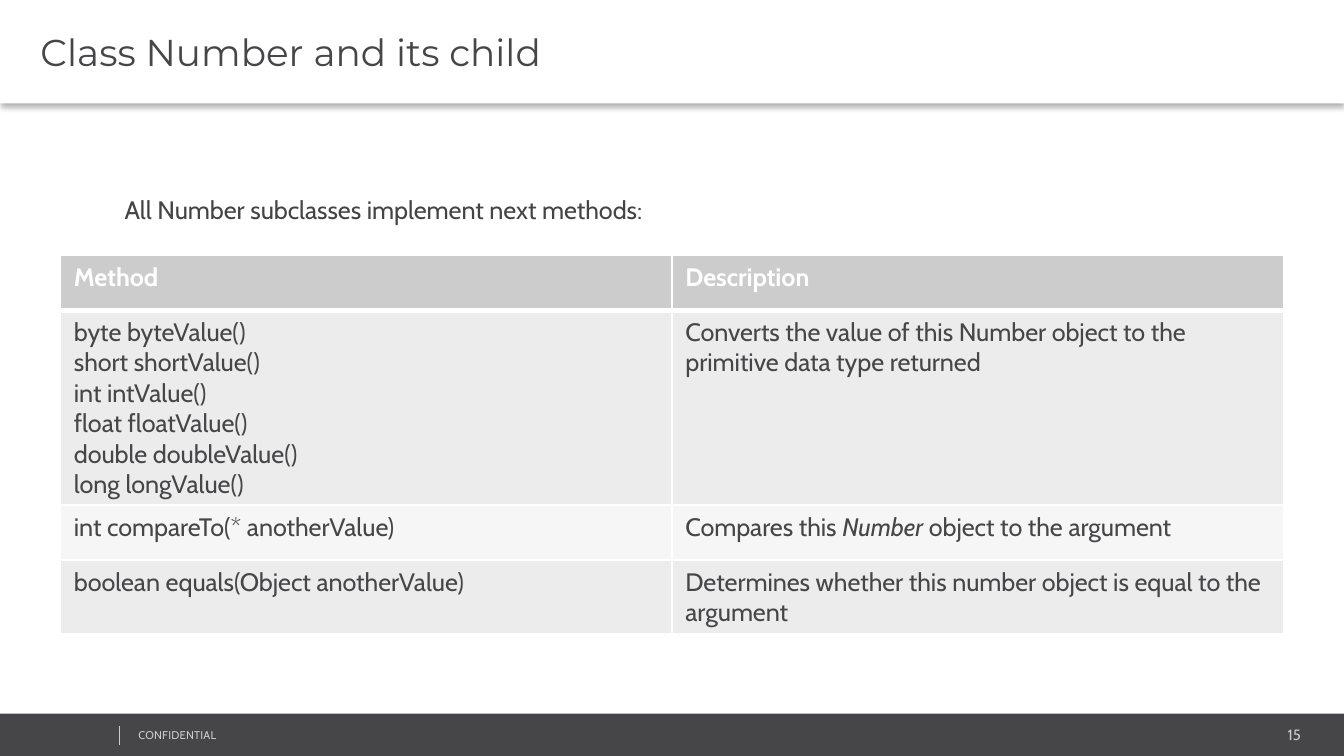
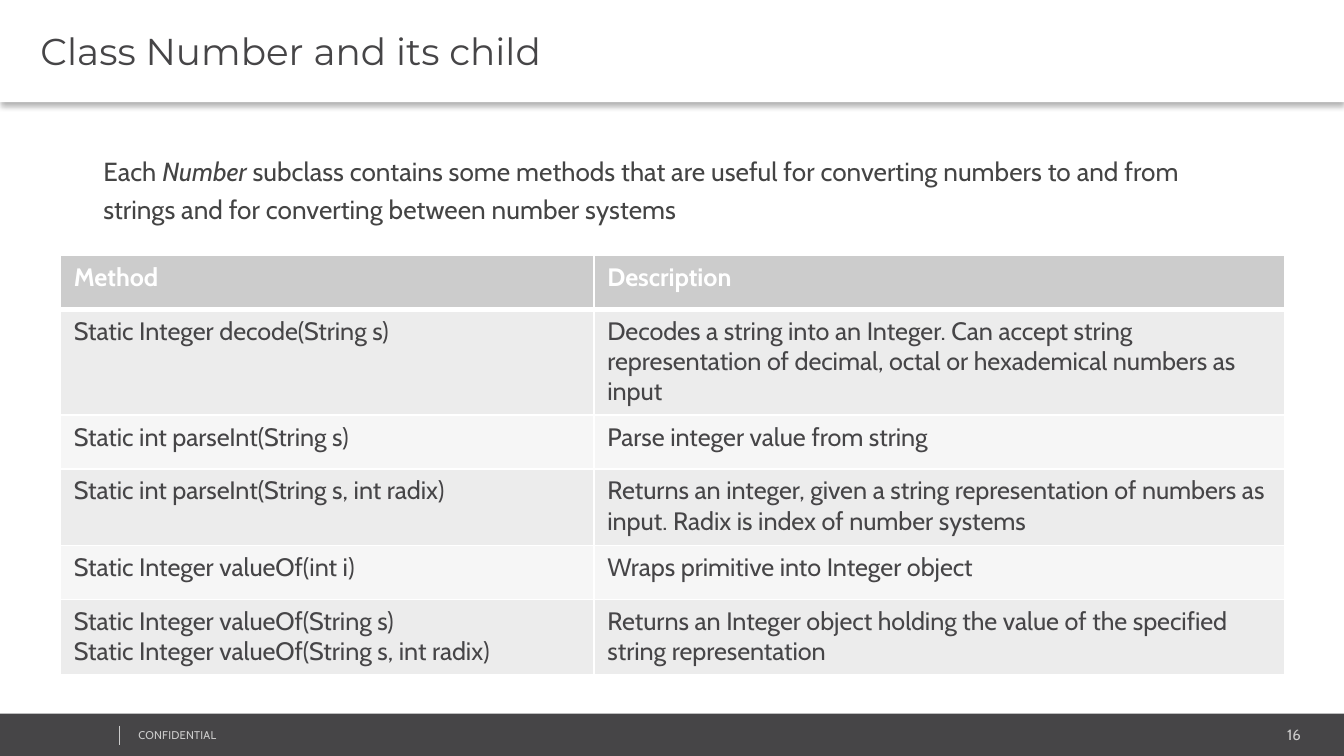
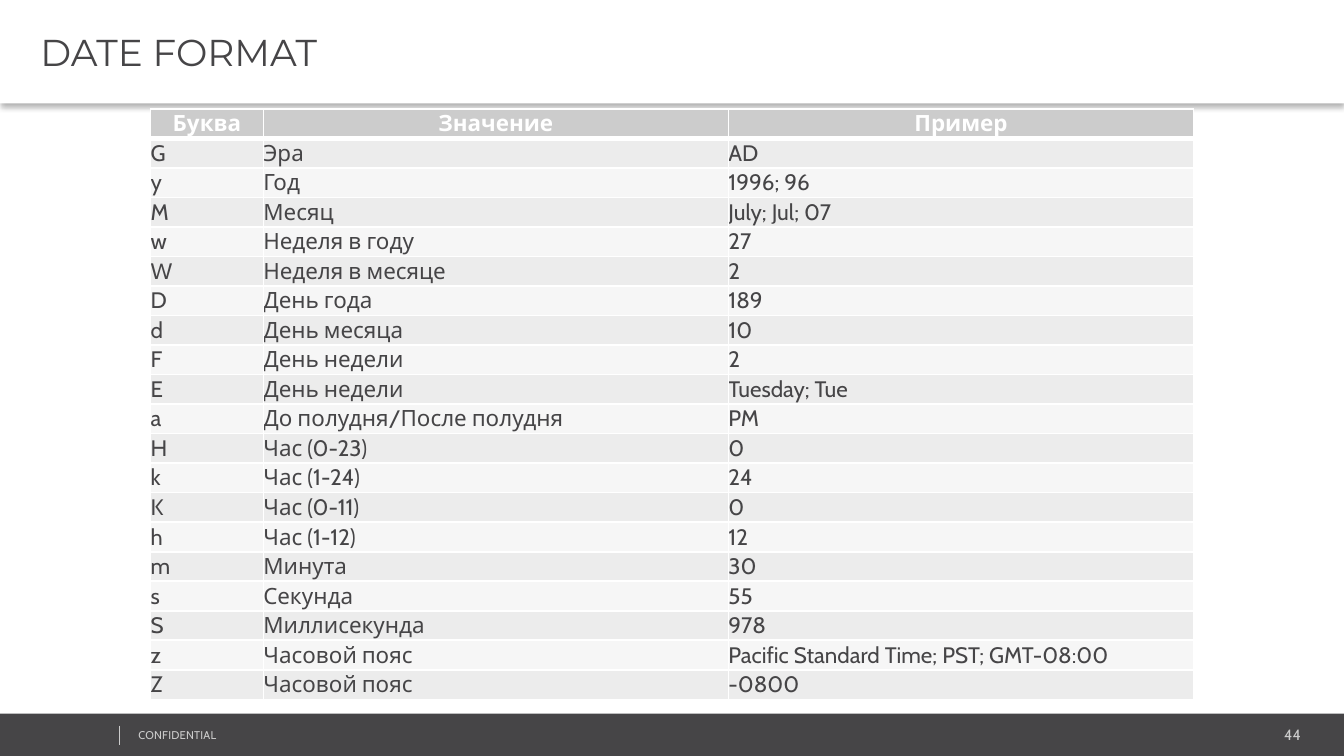
"""Build three slides on Java number methods and date format letters."""
import dataclasses
import typing

import lxml.etree
import pptx
import pptx.dml.color
import pptx.enum.shapes
import pptx.enum.text
import pptx.oxml.ns
import pptx.util

Inches = pptx.util.Inches
Pt = pptx.util.Pt
Align = pptx.enum.text.PP_ALIGN
Anchor = pptx.enum.text.MSO_ANCHOR
AutoSize = pptx.enum.text.MSO_AUTO_SIZE
qn = pptx.oxml.ns.qn

WHITE = "FFFFFF"
DARK = "464547"
INTRO_GRAY = "444444"
LIGHT = "CCCCCC"
BANDS = ("ECECEC", "F6F6F6")
BODY_FONT = "Cabin"
TITLE_FONT = "Montserrat"
TIGHT = (0.07, 0.04, 0.07, 0.04)
DEFAULT_INSETS = (0.1, 0.05, 0.1, 0.05)


@dataclasses.dataclass(frozen=True)
class Box:
    """Place of an element in inches."""
    left: float
    top: float
    width: float
    height: float

    def lengths(self) -> list[int]:
        return [Inches(value) for value in dataclasses.astuple(self)]


@dataclasses.dataclass(frozen=True)
class Intro:
    """Sentence above a table, with italics between underscores."""
    text: str
    box: Box
    size: float


@dataclasses.dataclass(frozen=True)
class Grid:
    """Table with a header row and banded body rows."""
    left: float
    top: float
    columns: list[float]
    heights: list[float]
    rows: list[tuple[str, ...]]
    size: float = 13.5
    insets: tuple[float, ...] = DEFAULT_INSETS
    anchor: typing.Any = Anchor.TOP
    header_align: typing.Any = Align.LEFT


@dataclasses.dataclass(frozen=True)
class Page:
    """Content of one slide."""
    title: str
    number: int
    grid: Grid
    intro: Intro | None = None
    title_top: float = 0


METHOD_HEADER = ("Method", "Description")

PAGES = [
    Page(
        "Class Number and its child", 15,
        Grid(0.45, 1.9, [4.55, 4.55], [0.41, 1.43, 0.41, 0.55], [
            METHOD_HEADER,
            ("byte byteValue()\nshort shortValue()\nint intValue()\n"
             "float floatValue()\ndouble doubleValue()\nlong longValue()",
             "Converts the value of this Number object to the primitive data type returned"),
            ("int compareTo(* anotherValue)",
             "Compares this _Number_ object to the argument"),
            ("boolean equals(Object anotherValue)",
             "Determines whether this number object is equal to the argument"),
        ]),
        Intro("All Number subclasses implement next methods:",
              Box(0.83, 1.35, 4.83, 0.35), 13.5),
    ),
    Page(
        "Class Number and its child", 16,
        Grid(0.45, 1.9, [3.97, 5.14], [0.4, 0.79, 0.4, 0.57, 0.4, 0.56], [
            METHOD_HEADER,
            ("Static Integer decode(String s)",
             "Decodes a string into an Integer. Can accept string representation "
             "of decimal, octal or hexademical numbers as input"),
            ("Static int parseInt(String s)", "Parse integer value from string"),
            ("Static int parseInt(String s, int radix)",
             "Returns an integer, given a string representation of numbers as input. "
             "Radix is index of number systems"),
            ("Static Integer valueOf(int i)", "Wraps primitive into Integer object"),
            ("Static Integer valueOf(String s)\nStatic Integer valueOf(String s, int radix)",
             "Returns an Integer object holding the value of the specified "
             "string representation"),
        ]),
        Intro("Each _Number_ subclass contains some methods that are useful for converting "
              "numbers to and from strings and for converting between number systems",
              Box(0.67, 1.06, 8.58, 0.65), 14),
        title_top=-0.01,
    ),
    Page(
        "DATE FORMAT", 44,
        Grid(1.12, 0.81, [0.84, 3.46, 3.46], [0.22] * 20, [
            ("Буква", "Значение", "Пример"),
            ("G", "Эра", "AD"),
            ("y", "Год", "1996; 96"),
            ("M", "Месяц", "July; Jul; 07"),
            ("w", "Неделя в году", "27"),
            ("W", "Неделя в месяце", "2"),
            ("D", "День года", "189"),
            ("d", "День месяца", "10"),
            ("F", "День недели", "2"),
            ("E", "День недели", "Tuesday; Tue"),
            ("a", "До полудня/После полудня", "PM"),
            ("H", "Час (0-23)", "0"),
            ("k", "Час (1-24)", "24"),
            ("K", "Час (0-11)", "0"),
            ("h", "Час (1-12)", "12"),
            ("m", "Минута", "30"),
            ("s", "Секунда", "55"),
            ("S", "Миллисекунда", "978"),
            ("z", "Часовой пояс", "Pacific Standard Time; PST; GMT-08:00"),
            ("Z", "Часовой пояс", "-0800"),
        ], size=12, insets=(0, 0, 0, 0), anchor=Anchor.MIDDLE, header_align=Align.CENTER),
    ),
]


def rgb(color: str) -> pptx.dml.color.RGBColor:
    return pptx.dml.color.RGBColor.from_string(color)


def paint(target: typing.Any, color: str) -> None:
    target.fill.solid()
    target.fill.fore_color.rgb = rgb(color)


def set_margins(target: typing.Any, insets: tuple[float, ...]) -> None:
    for side, inset in zip(("left", "top", "right", "bottom"), insets):
        setattr(target, f"margin_{side}", Inches(inset))


def write_text(frame: typing.Any, text: str, *, size: float, color: str,
               font: str = BODY_FONT, bold: bool = False, align: typing.Any = Align.LEFT,
               line_spacing: float | None = None, space_before: float = 0,
               tracking: float = 0) -> None:
    for index, line in enumerate(text.split("\n")):
        paragraph = frame.add_paragraph() if index else frame.paragraphs[0]
        paragraph.alignment = align
        paragraph.space_before = Pt(space_before)
        if line_spacing:
            paragraph.line_spacing = line_spacing
        for part, words in enumerate(line.split("_")):
            run = paragraph.add_run()
            run.text = words
            run.font.name = font
            run.font.size = Pt(size)
            run.font.bold = bold
            run.font.italic = part % 2 == 1
            run.font.color.rgb = rgb(color)
            if tracking:
                run._r.get_or_add_rPr().set("spc", str(round(tracking * 100)))


def add_text_box(slide: typing.Any, text: str, box: Box,
                 insets: tuple[float, ...] = DEFAULT_INSETS, **text_format: typing.Any) -> None:
    frame = slide.shapes.add_textbox(*box.lengths()).text_frame
    frame.word_wrap = True
    frame.auto_size = AutoSize.SHAPE_TO_FIT_TEXT
    set_margins(frame, insets)
    write_text(frame, text, **text_format)


def add_footer(slide: typing.Any, number: int) -> None:
    band = slide.shapes.add_shape(pptx.enum.shapes.MSO_SHAPE.RECTANGLE,
                                  *Box(0, 5.31, 10.01, 0.33).lengths())
    band.shadow.inherit = False
    paint(band, DARK)
    band.line.fill.background()
    add_text_box(slide, str(number), Box(8.12, 5.36, 1.63, 0.21), TIGHT,
                 size=8, color=LIGHT, align=Align.RIGHT)
    add_text_box(slide, "CONFIDENTIAL", Box(0.96, 5.38, 2.53, 0.18), TIGHT,
                 size=6, color=LIGHT, tracking=0.1)
    divider = slide.shapes.add_connector(
        pptx.enum.shapes.MSO_CONNECTOR.STRAIGHT,
        Inches(0.89), Inches(5.4), Inches(0.89), Inches(5.54))
    divider.line.color.rgb = rgb(LIGHT)
    divider.line.width = Pt(0.25)
    lxml.etree.SubElement(divider._element.spPr, qn("a:effectLst"))


def add_title(slide: typing.Any, text: str, top: float) -> None:
    title = slide.shapes.title
    title.left, title.top, title.width, title.height = Box(0, top, 10, 0.77).lengths()
    paint(title, WHITE)
    title.line.fill.background()
    effects = lxml.etree.SubElement(title._element.spPr, qn("a:effectLst"))
    shadow = lxml.etree.SubElement(
        effects, qn("a:outerShdw"), blurRad=str(Pt(3.1)), dist=str(Pt(2)),
        dir="5400000", algn="t", rotWithShape="0")
    shade = lxml.etree.SubElement(shadow, qn("a:srgbClr"), val="000000")
    lxml.etree.SubElement(shade, qn("a:alpha"), val="30000")
    frame = title.text_frame
    frame.word_wrap = True
    frame.auto_size = AutoSize.NONE
    frame.vertical_anchor = Anchor.MIDDLE
    set_margins(frame, (0.3, 0.04, 0.07, 0.04))
    write_text(frame, text, size=20, color=DARK, font=TITLE_FONT, space_before=4)


def add_borders(cell: typing.Any, row: int) -> None:
    widths = {"L": 1, "R": 1, "T": 3 if row == 1 else 1, "B": 3 if row == 0 else 1}
    properties = cell._tc.get_or_add_tcPr()
    for position, (side, width) in enumerate(widths.items()):
        border = lxml.etree.Element(qn(f"a:ln{side}"), w=str(Pt(width)))
        fill = lxml.etree.SubElement(border, qn("a:solidFill"))
        lxml.etree.SubElement(fill, qn("a:srgbClr"), val=WHITE)
        properties.insert(position, border)


def add_grid(slide: typing.Any, grid: Grid) -> None:
    box = Box(grid.left, grid.top, sum(grid.columns), sum(grid.heights))
    table = slide.shapes.add_table(len(grid.rows), len(grid.columns), *box.lengths()).table
    table.horz_banding = False
    for column, width in zip(table.columns, grid.columns):
        column.width = Inches(width)
    for row, (height, texts) in enumerate(zip(grid.heights, grid.rows)):
        table.rows[row].height = Inches(height)
        header = row == 0
        for column, text in enumerate(texts):
            cell = table.cell(row, column)
            set_margins(cell, grid.insets)
            cell.vertical_anchor = grid.anchor
            paint(cell, LIGHT if header else BANDS[(row - 1) % 2])
            add_borders(cell, row)
            write_text(cell.text_frame, text, size=grid.size, bold=header,
                       color=WHITE if header else DARK,
                       align=grid.header_align if header else Align.LEFT)


def main() -> None:
    deck = pptx.Presentation()
    deck.slide_width = Inches(10)
    deck.slide_height = deck.slide_width * 9 // 16
    title_only = deck.slide_layouts.get_by_name("Title Only")
    for page in PAGES:
        slide = deck.slides.add_slide(title_only)
        add_footer(slide, page.number)
        add_title(slide, page.title, page.title_top)
        add_grid(slide, page.grid)
        if page.intro:
            add_text_box(slide, page.intro.text, page.intro.box, size=page.intro.size,
                         color=INTRO_GRAY, line_spacing=1.2)
    deck.save("out.pptx")


if __name__ == "__main__":
    main()
